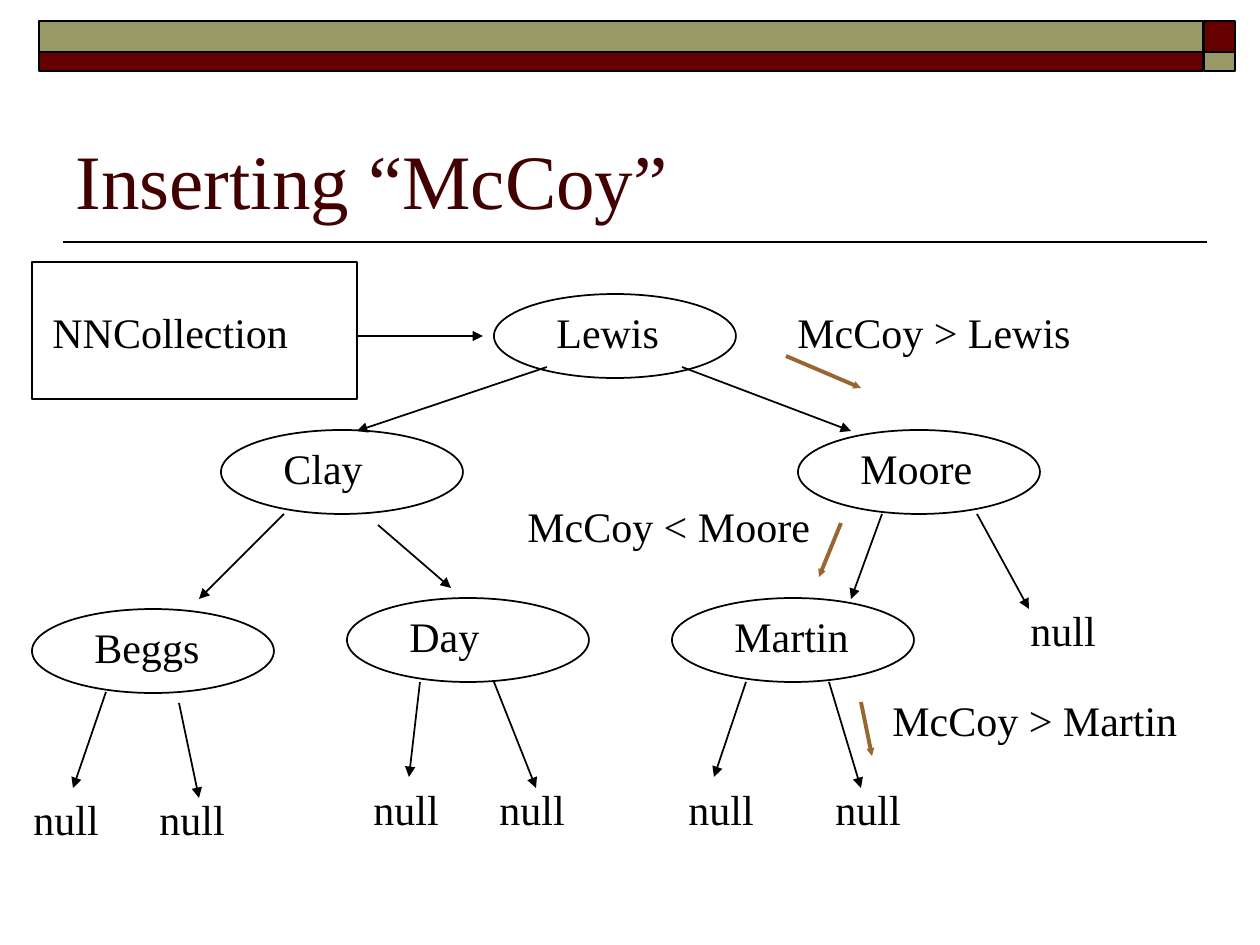
from dataclasses import dataclass

from lxml.etree import SubElement
from pptx import Presentation
from pptx.dml.color import RGBColor
from pptx.enum.shapes import MSO_CONNECTOR, MSO_SHAPE
from pptx.enum.text import MSO_ANCHOR, MSO_AUTO_SIZE, PP_ALIGN
from pptx.oxml.ns import qn
from pptx.util import Emu, Pt


@dataclass(frozen=True)
class Theme:
    font: str = "Times New Roman"
    title_size: int = 44
    body_size: int = 24
    line_width: float = 1
    step_width: float = 2.25
    ink: str = "000000"
    title: str = "420000"
    olive: str = "999966"
    maroon: str = "660000"
    step: str = "996633"


THEME = Theme()
PX_PER_INCH = 126
NODE_SIZE = (242, 84)
LABEL_OFFSET = (50, 6)
TEXT_HEIGHT = 63
NULL_WIDTH = 94

# Tree nodes: name, left, top, label width
NODES = [
    ("Lewis", 494, 294, 134),
    ("Clay", 221, 430, 110),
    ("Moore", 798, 430, 142),
    ("Beggs", 32, 609, 135),
    ("Day", 347, 598, 100),
    ("Martin", 672, 598, 145),
]
# Left and top of each empty child
NULLS = [(21, 787), (147, 787), (361, 777), (487, 777),
         (676, 777), (823, 777), (1018, 598)]
# Arrows: x and y of start, x and y of end
LINKS = [
    (357, 336, 483, 336),
    (547, 367, 357, 431), (682, 367, 851, 431),
    (284, 514, 199, 599), (378, 525, 451, 588),
    (882, 514, 851, 599), (977, 514, 1029, 609),
    (106, 692, 73, 788), (179, 703, 199, 798),
    (420, 682, 409, 777), (494, 682, 536, 788),
    (746, 682, 714, 777), (829, 682, 861, 788),
]
# Comparisons: text, left, top, width, arrow beside it
STEPS = [
    ("McCoy > Lewis", 785, 300, 306, (786, 356, 861, 388)),
    ("McCoy < Moore", 515, 494, 316, (841, 523, 819, 577)),
    ("McCoy > Martin", 880, 688, 318, (861, 702, 872, 756)),
]


def px(*lengths):
    return [Emu(round(length * 914400 / PX_PER_INCH)) for length in lengths]


def apply(target, values):
    for name, value in values.items():
        setattr(target, name, value)


def write(frame, text, size, color, frame_format):
    apply(frame, frame_format)
    para = frame.paragraphs[0]
    para.alignment = PP_ALIGN.LEFT
    span = para.add_run()
    span.text = text
    apply(span.font, {"name": THEME.font, "size": Pt(size)})
    span.font.color.rgb = RGBColor.from_string(color)


def set_line(line, color, width):
    line.color.rgb = RGBColor.from_string(color)
    line.width = Pt(width)


def add_outline(page, kind, bounds, fill=None):
    shape = page.shapes.add_shape(kind, *px(*bounds))
    shape.shadow.inherit = False
    if fill:
        shape.fill.solid()
        shape.fill.fore_color.rgb = RGBColor.from_string(fill)
    else:
        shape.fill.background()
    set_line(shape.line, THEME.ink, THEME.line_width)


def add_label(page, text, left, top, width):
    box = page.shapes.add_textbox(*px(left, top, width, TEXT_HEIGHT))
    # A fixed box with spare width keeps each label on one line
    write(box.text_frame, text, THEME.body_size, THEME.ink, {
        "word_wrap": True,
        "auto_size": MSO_AUTO_SIZE.NONE,
    })


def add_line(page, ends, color=THEME.ink, width=THEME.line_width, head="med"):
    line = page.shapes.add_connector(MSO_CONNECTOR.STRAIGHT, *px(*ends))
    set_line(line.line, color, width)
    properties = line._element.spPr
    if head:
        SubElement(properties.find(qn("a:ln")), qn("a:tailEnd"),
                   type="triangle", w=head, len=head)
    SubElement(properties, qn("a:effectLst"))


def add_node(page, name, left, top, label_width):
    add_outline(page, MSO_SHAPE.OVAL, (left, top, *NODE_SIZE))
    dx, dy = LABEL_OFFSET
    add_label(page, name, left + dx, top + dy, label_width)


def add_banner(page):
    # Two rows of a wide and a narrow bar, in swapped colours
    rows = [(21, 31, THEME.olive, THEME.maroon), (52, 19, THEME.maroon, THEME.olive)]
    for top, height, wide_fill, narrow_fill in rows:
        for left, width, fill in [(39, 1164, wide_fill), (1204, 31, narrow_fill)]:
            add_outline(page, MSO_SHAPE.RECTANGLE, (left, top, width, height), fill)
    add_line(page, (63, 242, 1207, 242), head=None)


def set_title(page, text):
    title = page.shapes.title
    left, top, width, height = px(63, 73, 1134, 158)
    apply(title, {"left": left, "top": top, "width": width, "height": height})
    write(title.text_frame, text, THEME.title_size, THEME.title, {
        "word_wrap": True,
        "auto_size": MSO_AUTO_SIZE.NONE,
        "vertical_anchor": MSO_ANCHOR.BOTTOM,
    })


def main():
    deck = Presentation()
    deck.slide_width, deck.slide_height = px(1260, 945)
    page = deck.slides.add_slide(deck.slide_layouts[5])

    add_banner(page)
    set_title(page, "Inserting “McCoy”")

    # Collection that holds the root
    add_outline(page, MSO_SHAPE.RECTANGLE, (32, 262, 325, 137))
    add_label(page, "NNCollection", 40, 300, 268)

    # Tree
    for node in NODES:
        add_node(page, *node)
    for left, top in NULLS:
        add_label(page, "null", left, top, NULL_WIDTH)
    for ends in LINKS:
        add_line(page, ends)

    # Comparisons on the way down
    for text, left, top, width, ends in STEPS:
        add_label(page, text, left, top, width)
        add_line(page, ends, THEME.step, THEME.step_width, head="sm")

    deck.save("out.pptx")


if __name__ == "__main__":
    main()
